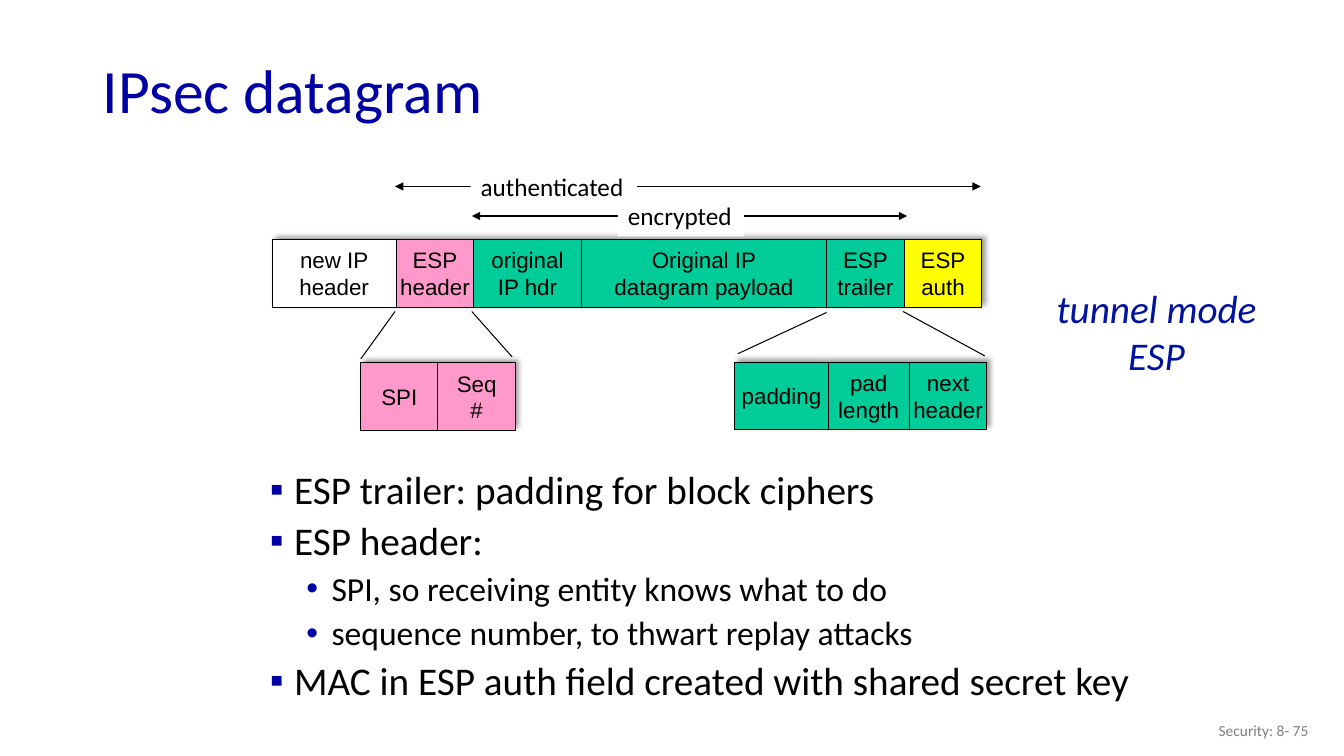
from lxml import etree
from pptx import Presentation
from pptx.dml.color import RGBColor
from pptx.enum.shapes import MSO_CONNECTOR, MSO_SHAPE
from pptx.enum.text import MSO_ANCHOR, PP_ALIGN
from pptx.oxml.ns import qn
from pptx.util import Pt

RECTANGLE, STRAIGHT = MSO_SHAPE.RECTANGLE, MSO_CONNECTOR.STRAIGHT
LEFT, CENTER, RIGHT = PP_ALIGN.LEFT, PP_ALIGN.CENTER, PP_ALIGN.RIGHT
TOP, MIDDLE = MSO_ANCHOR.TOP, MSO_ANCHOR.MIDDLE

COLORS = {
    "white": "FFFFFF", "black": "000000", "gray": "808080", "title": "0000A3",
    "mode": "0012A0", "sub_bullet": "0000A8",
    "pink": "FF99CC", "green": "00CC99", "yellow": "FFFF00",
}

TITLE = "IPsec datagram"
FOOTER = "Security: 8- 75"
MODE = ["tunnel mode", "ESP"]

FIELD_ROWS = [
    (257.8, 259, [
        (["SPI"], 55, "pink"),
        (["Seq", "#"], 55.4, "pink"),
    ]),
    (524.9, 258.6, [
        (["padding"], 66.6, "green"),
        (["pad", "length"], 58, "green"),
        (["next", "header"], 55.4, "green"),
    ]),
    (194.4, 171, [
        (["new IP", "header"], 88.6, "white"),
        (["ESP", "header"], 55.4, "pink"),
        (["original", "IP hdr"], 76.8, "green"),
        (["Original IP", "datagram payload"], 175.2, "green"),
        (["ESP", "trailer"], 55.5, "green"),
        (["ESP", "auth"], 55.5, "yellow"),
    ]),
]
FIELD_HEIGHT = 48.4

EXPANSION_LINES = [
    (527, 252.7, 590.4, 223.2),
    (703.4, 254.2, 645.1, 222.5),
    (257.8, 256.3, 282.2, 222.5),
    (337, 222.5, 365.8, 254.9),
]

SPANS = [
    ("encrypted", 337, 648, 154.3, 441.4, 90),
    ("authenticated", 282.2, 700.6, 133.2, 336.2, 118.8),
]
LABEL_HEIGHT = 29

BULLETS = [
    (0, "ESP trailer: padding for block ciphers"),
    (0, "ESP header:"),
    (1, "SPI, so receiving entity knows what to do"),
    (1, "sequence number, to thwart replay attacks"),
    (0, "MAC in ESP auth field created with shared secret key"),
]
BULLET_LEVELS = [
    {"size": 28, "mark": "▪", "color": "title", "margin": 28, "hang": 17.3},
    {"size": 24, "mark": "•", "color": "sub_bullet", "margin": 54.7, "hang": 18},
]


def rgb(name):
    return RGBColor.from_string(COLORS[name])


def write_text(frame, lines, size, font="Calibri", color="black", align=LEFT,
               anchor=TOP, italic=False, spacing=1.0, inset=None, wrap=True):
    frame.word_wrap = wrap
    frame.vertical_anchor = anchor
    if inset is not None:
        frame.margin_left = frame.margin_right = Pt(inset)
        frame.margin_top = frame.margin_bottom = Pt(inset)
    frame.text = "\n".join(lines)
    for paragraph in frame.paragraphs:
        paragraph.alignment = align
        paragraph.line_spacing = spacing
        run_font = paragraph.runs[0].font
        run_font.name = font
        run_font.size = Pt(size)
        run_font.italic = italic
        run_font.color.rgb = rgb(color)


def add_text_box(slide, box, lines, size, **style):
    shape = slide.shapes.add_textbox(*map(Pt, box))
    write_text(shape.text_frame, lines, size, **style)
    return shape


def add_rectangle(slide, box, fill, outlined=False):
    shape = slide.shapes.add_shape(RECTANGLE, *map(Pt, box))
    shape.shadow.inherit = False
    shape.fill.solid()
    shape.fill.fore_color.rgb = rgb(fill)
    if outlined:
        shape.line.color.rgb = rgb("black")
        shape.line.width = Pt(0.75)
    else:
        shape.line.fill.background()
    return shape


def add_shadow(shape):
    effects = shape._element.spPr.find(qn("a:effectLst"))
    shadow = etree.SubElement(effects, qn("a:outerShdw"), blurRad=str(Pt(4)),
                              dist=str(Pt(3)), dir=str(315 * 60000),
                              algn="bl", rotWithShape="0")
    color = etree.SubElement(shadow, qn("a:srgbClr"), val=COLORS["black"])
    etree.SubElement(color, qn("a:alpha"), val="40000")


def add_line(slide, ends, width=0.75, arrows=False):
    connector = slide.shapes.add_connector(STRAIGHT, *map(Pt, ends))
    connector.line.color.rgb = rgb("black")
    connector.line.width = Pt(width)
    if arrows:
        outline = connector.line._get_or_add_ln()
        for end in ("a:headEnd", "a:tailEnd"):
            etree.SubElement(outline, qn(end), type="triangle")
    etree.SubElement(connector._element.spPr, qn("a:effectLst"))


def add_field_row(slide, left, top, fields):
    total = sum(width for _, width, _ in fields)
    add_shadow(add_rectangle(slide, (left, top, total, FIELD_HEIGHT), "white"))
    for lines, width, fill in fields:
        field = add_rectangle(slide, (left, top, width, FIELD_HEIGHT), fill, True)
        write_text(field.text_frame, lines, 16, font="Arial", align=CENTER,
                   anchor=MIDDLE, inset=0)
        left += width


def add_span(slide, label, start, end, y, label_left, label_width):
    add_line(slide, (start, y, end, y), 1, True)
    box = (label_left, y - LABEL_HEIGHT / 2, label_width, LABEL_HEIGHT)
    shape = add_rectangle(slide, box, "white")
    write_text(shape.text_frame, [label], 18, wrap=False)


def add_bullets(slide):
    shape = add_text_box(slide, (175, 332.6, 777, 186.5),
                         [text for _, text in BULLETS], 28, spacing=0.9)
    for paragraph, (level, _) in zip(shape.text_frame.paragraphs, BULLETS):
        style = BULLET_LEVELS[level]
        paragraph.level = level
        paragraph.space_before = Pt(6)
        paragraph.runs[0].font.size = Pt(style["size"])
        properties = paragraph._p.get_or_add_pPr()
        properties.set("marL", str(Pt(style["margin"])))
        properties.set("indent", str(-Pt(style["hang"])))
        color = etree.SubElement(properties, qn("a:buClr"))
        etree.SubElement(color, qn("a:srgbClr"), val=COLORS[style["color"]])
        etree.SubElement(properties, qn("a:buFont"), typeface="Arial")
        etree.SubElement(properties, qn("a:buChar"), char=style["mark"])


def main():
    presentation = Presentation()
    presentation.slide_width, presentation.slide_height = Pt(960), Pt(540)
    slide = presentation.slides.add_slide(presentation.slide_layouts[5])

    title = slide.shapes.title
    title.left, title.top, title.width, title.height = map(Pt, (66.2, 31.7, 828, 70.6))
    write_text(title.text_frame, [TITLE], 44, color="title", anchor=MIDDLE, spacing=0.9)

    for row in FIELD_ROWS:
        add_field_row(slide, *row)
    for ends in EXPANSION_LINES:
        add_line(slide, ends)
    for span in SPANS:
        add_span(slide, *span)
    add_bullets(slide)
    add_text_box(slide, (746.6, 199.4, 159, 75), MODE, 28, color="mode",
                 align=CENTER, italic=True, wrap=False)
    add_text_box(slide, (725.8, 507.6, 216, 28.8), [FOOTER], 11, color="gray",
                 align=RIGHT, anchor=MIDDLE)
    presentation.save("out.pptx")


if __name__ == "__main__":
    main()
